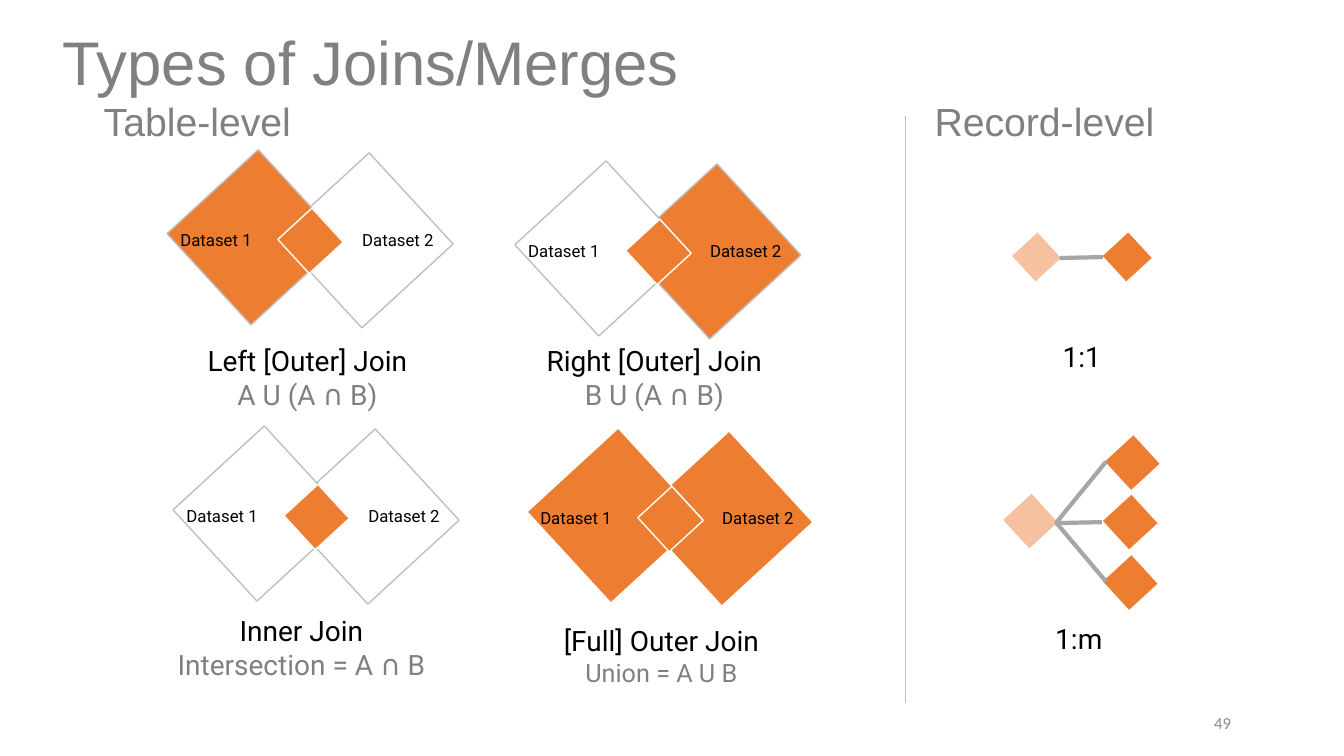
from dataclasses import dataclass

from lxml import etree
from pptx import Presentation
from pptx.dml.color import RGBColor
from pptx.enum.shapes import MSO_CONNECTOR as Connector, MSO_SHAPE as Shape
from pptx.enum.text import MSO_ANCHOR as Anchor, MSO_AUTO_SIZE as AutoSize, PP_ALIGN as Align
from pptx.oxml.ns import qn
from pptx.util import Inches, Pt


@dataclass(frozen=True)
class Theme:
    orange: str = "ED7D31"
    white: str = "FFFFFF"
    black: str = "000000"
    heading: str = "808080"
    number: str = "8C8C8C"
    outline: str = "BFBFBF"
    link: str = "A6A6A6"
    title_size: int = 44
    heading_size: int = 28
    caption_size: int = 20
    small_caption_size: int = 18
    label_size: int = 12
    heading_font: str = "Arial"
    body_font: str = "Roboto"
    number_font: str = "Calibri"


theme = Theme()


def write_text(shape, text, size=theme.caption_size, color=theme.black,
               font=theme.body_font, align=Align.CENTER, anchor=Anchor.TOP):
    """Fill the first paragraph of the shape, or add one if it already has text."""
    frame = shape.text_frame
    frame.word_wrap = True
    frame.auto_size = AutoSize.NONE
    frame.vertical_anchor = anchor
    paragraph = frame.add_paragraph() if frame.text else frame.paragraphs[0]
    paragraph.text = text
    paragraph.alignment = align
    paragraph.font.size = Pt(size)
    paragraph.font.name = font
    paragraph.font.color.rgb = RGBColor.from_string(color)


def add_diamond(shapes, left, top, side, fill=theme.orange, line=theme.white, opacity=100):
    diamond = shapes.add_shape(Shape.RECTANGLE, *map(Inches, (left, top, side, side)))
    diamond.rotation = 47.4
    diamond.shadow.inherit = False
    diamond.fill.solid()
    diamond.fill.fore_color.rgb = RGBColor.from_string(fill)
    diamond.line.color.rgb = RGBColor.from_string(line)
    diamond.line.width = Pt(1)
    if opacity < 100:
        color = diamond.fill._xPr.find(qn("a:solidFill"))[0]
        etree.SubElement(color, qn("a:alpha")).set("val", str(opacity * 1000))


presentation = Presentation()
presentation.slide_width = Inches(13.33)
presentation.slide_height = Inches(7.5)
slide = presentation.slides.add_slide(presentation.slide_layouts[5])

# Title, section headings and page number
title = slide.shapes.title
title.left, title.top, title.width, title.height = map(Inches, (0.52, 0.18, 11.79, 0.84))
write_text(title, "Types of Joins/Merges", size=theme.title_size, color=theme.heading,
           font=theme.heading_font, align=Align.LEFT, anchor=Anchor.MIDDLE)

for heading, left in (("Table-level", 0.93), ("Record-level", 9.17)):
    box = slide.shapes.add_textbox(*map(Inches, (left, 0.92, 3.78, 0.57)))
    write_text(box, heading, size=theme.heading_size, color=theme.heading,
               font=theme.heading_font, align=Align.LEFT)

page_number = slide.shapes.add_textbox(*map(Inches, (9.31, 6.97, 3, 0.4)))
write_text(page_number, "49", size=theme.label_size, color=theme.number,
           font=theme.number_font, align=Align.RIGHT, anchor=Anchor.MIDDLE)

# Table-level joins: left diamond position, fills, outline
joins = [
    (1.91, 1.74, theme.orange, theme.white, theme.outline),
    (5.36, 1.85, theme.white, theme.orange, theme.outline),
    (1.97, 4.48, theme.white, theme.white, theme.outline),
    (5.48, 4.50, theme.orange, theme.orange, theme.white),
]
for left, top, left_fill, right_fill, outline in joins:
    shapes = slide.shapes.add_group_shape().shapes
    add_diamond(shapes, left + 1.1, top + 0.03, 1.23, right_fill, outline)
    add_diamond(shapes, left, top, 1.23, left_fill, outline)
    add_diamond(shapes, left + 0.94, top + 0.42, 0.46)
    for label, offset, align in (("Dataset 1", -0.22, Align.LEFT), ("Dataset 2", 1.2, Align.RIGHT)):
        box = shapes.add_textbox(*map(Inches, (left + offset, top + 0.49, 1.29, 0.3)))
        write_text(box, label, size=theme.label_size, align=align)

captions = [
    (1.33, 3.36, "Left [Outer] Join", "A U (A ∩ B)", theme.caption_size),
    (4.77, 3.36, "Right [Outer] Join", "B U (A ∩ B)", theme.caption_size),
    (1.27, 6.04, "Inner Join", "Intersection = A ∩ B", theme.caption_size),
    (4.84, 6.14, "[Full] Outer Join", "Union = A U B", theme.small_caption_size),
]
for left, top, name, formula, formula_size in captions:
    box = slide.shapes.add_textbox(*map(Inches, (left, top, 3.44, 0.77)))
    write_text(box, name)
    write_text(box, formula, size=formula_size, color=theme.heading)

# Record-level relations: one pale source diamond linked to its matches
relations = [
    ("1:1", 9.01, 3.32, 0.36, (10.1, 2.37), [(11, 2.37)],
     [(10.51, 2.56, 10.94, 2.55)]),
    ("1:m", 8.98, 6.12, 0.4, (10.02, 4.97), [(11.01, 4.98), (11.03, 4.39), (11.01, 5.58)],
     [(10.46, 5.19, 10.93, 5.18), (10.48, 5.18, 10.97, 4.58), (10.48, 5.19, 10.97, 5.77)]),
]
lines = [(slide.shapes, (8.98, 1.15, 8.98, 6.97), theme.outline, 0.5)]
for ratio, left, top, side, source, matches, links in relations:
    shapes = slide.shapes.add_group_shape().shapes
    add_diamond(shapes, *source, side, opacity=47)
    for match in matches:
        add_diamond(shapes, *match, side)
    lines += [(shapes, link, theme.link, 3) for link in links]
    box = slide.shapes.add_textbox(*map(Inches, (left, top, 3.44, 0.44)))
    write_text(box, ratio)

for shapes, ends, color, width in lines:
    connector = shapes.add_connector(Connector.STRAIGHT, *map(Inches, ends))
    connector.line.color.rgb = RGBColor.from_string(color)
    connector.line.width = Pt(width)
    etree.SubElement(connector._element.spPr, qn("a:effectLst"))

presentation.save("out.pptx")
